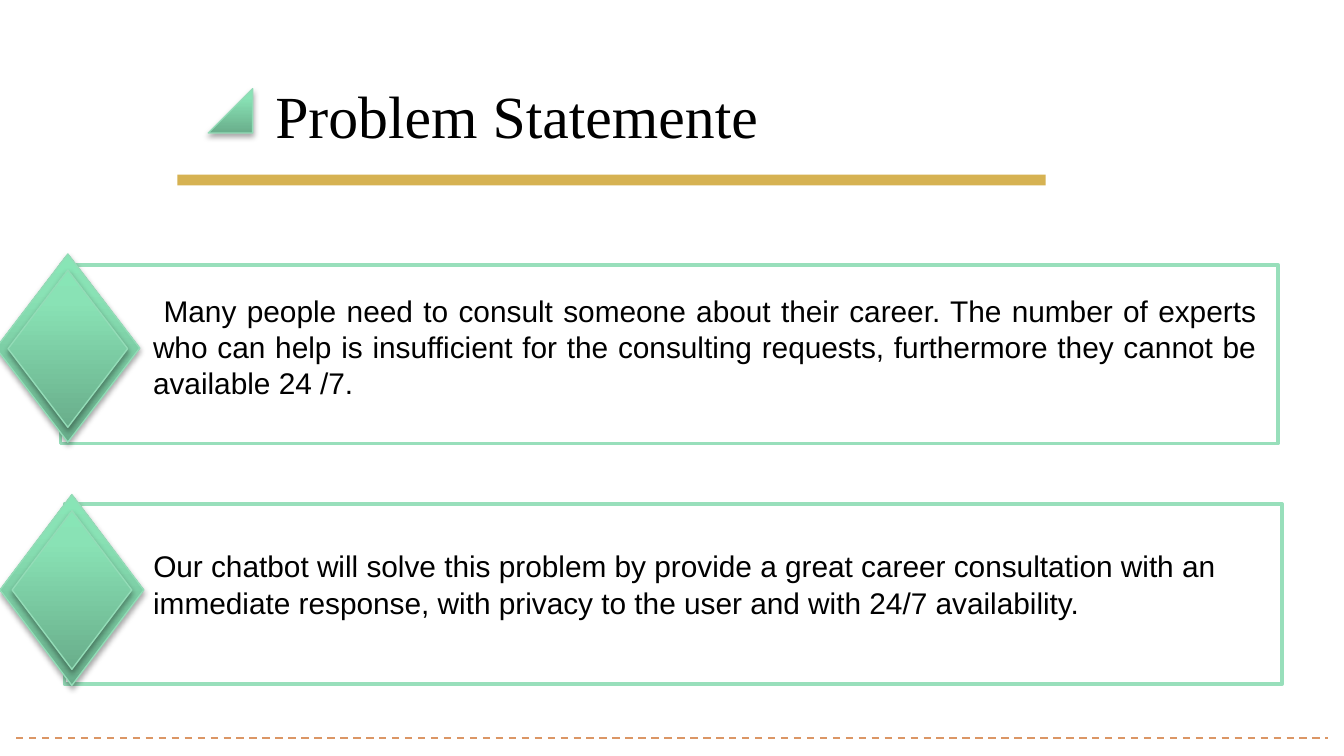
from lxml.etree import SubElement
from pptx import Presentation
from pptx.dml.color import RGBColor
from pptx.enum.dml import MSO_LINE
from pptx.enum.shapes import MSO_CONNECTOR, MSO_SHAPE
from pptx.enum.text import MSO_AUTO_SIZE, PP_ALIGN
from pptx.oxml.ns import qn
from pptx.util import Inches, Pt

HUES = {
    "white": "FFFFFF", "black": "000000", "frame": "98DFBB", "edge": "93DCB7",
    "dark": "69AE8B", "mid": "89E2B5", "light": "88E5B6",
    "gold": "D6B252", "rust": "DB9665",
}
SERIF, SANS = "Times New Roman", "Arial"


class Deck:
    """Holds the style and the current slide, with a method per element."""

    def __init__(self, wide, high):
        self.prs = Presentation()
        self.prs.slide_width, self.prs.slide_height = Inches(wide), Inches(high)
        self.slide = self.prs.slides.add_slide(self.prs.slide_layouts[6])

    def hue(self, name):
        return RGBColor.from_string(HUES[name])

    def group(self):
        return self.slide.shapes.add_group_shape().shapes

    def shape(self, home, kind, box, edge=None, width=0.75):
        item = home.add_shape(kind, *map(Inches, box))
        item.shadow.inherit = False
        if edge:
            item.line.color.rgb = self.hue(edge)
            item.line.width = Pt(width)
        else:
            item.line.fill.background()
        return item

    def rect(self, home, box, fill, edge=None, width=0.75):
        item = self.shape(home, MSO_SHAPE.RECTANGLE, box, edge, width)
        item.fill.solid()
        item.fill.fore_color.rgb = self.hue(fill)

    def gem(self, home, kind, box):
        item = self.shape(home, kind, box, "edge")
        item.fill.gradient()
        item.fill.gradient_angle = 90
        props = item._element.spPr
        stops = props.find(qn("a:gradFill")).find(qn("a:gsLst"))
        for old in list(stops):
            stops.remove(old)
        for pos, name in ((0, "dark"), (80, "mid"), (100, "light")):
            stop = SubElement(stops, qn("a:gs"), pos=str(pos * 1000))
            SubElement(stop, qn("a:srgbClr"), val=HUES[name])
        glow = SubElement(
            props.find(qn("a:effectLst")), qn("a:outerShdw"), blurRad=str(Pt(3.1)),
            dist=str(Pt(1.8)), dir="5400000", rotWithShape="0")
        tint = SubElement(glow, qn("a:srgbClr"), val=HUES["black"])
        SubElement(tint, qn("a:alpha"), val="35000")
        return item

    def text(self, home, box, paras, wrap=True, align=PP_ALIGN.LEFT):
        frame = home.add_textbox(*map(Inches, box)).text_frame
        frame.word_wrap = wrap
        frame.auto_size = MSO_AUTO_SIZE.SHAPE_TO_FIT_TEXT
        for num, runs in enumerate(paras):
            para = frame.add_paragraph() if num else frame.paragraphs[0]
            para.alignment = align
            for words, font, size in runs:
                run = para.add_run()
                run.text = words
                run.font.name, run.font.size = font, Pt(size)
                run.font.color.rgb = self.hue("black")

    def card(self, frame, outer, inner):
        home = self.group()
        self.rect(home, frame, "white", "frame", 2)
        for box in (outer, inner):
            self.gem(home, MSO_SHAPE.DIAMOND, box)

    def dash(self, left, right, top):
        line = self.slide.shapes.add_connector(
            MSO_CONNECTOR.STRAIGHT, *map(Inches, (left, top, right, top)))
        pen = line.line
        pen.width = Pt(1)
        pen.fill.solid()
        pen.fill.fore_color.rgb = self.hue("rust")
        pen.dash_style = MSO_LINE.DASH
        SubElement(line._element.spPr, qn("a:effectLst"))


def main():
    deck = Deck(10, 5.625)
    deck.card((0.45, 1.97, 9.06, 1.33), (-0.03, 1.89, 1.07, 1.4), (0.06, 2.01, 0.89, 1.17))
    deck.card((0.48, 3.75, 9.06, 1.34), (0, 3.68, 1.07, 1.42), (0.09, 3.8, 0.89, 1.18))

    need = ("Many people need to consult someone about their career. The number of "
            "experts who can help is insufficient for the consulting requests, "
            "furthermore they cannot be available 24 /7.")
    plan = ("Our chatbot will solve this problem by provide a great career "
            "consultation with an")
    gain = " immediate response, with privacy to the user and with 24/7 availability."
    lead = (" ", SERIF, 18)
    page = deck.slide.shapes
    deck.text(page, (1.04, 2.1, 8.41, 0.94), [[lead, (need, SANS, 16)]],
              align=PP_ALIGN.JUSTIFY)
    deck.text(page, (0.98, 4, 8.54, 0.98), [[lead, (plan, SANS, 16)], [(gain, SANS, 16)]])

    head = deck.group()
    deck.rect(head, (1.32, 1.3, 6.46, 0.08), "gold")
    mark = deck.gem(head, MSO_SHAPE.ISOSCELES_TRIANGLE, (1.55, 0.66, 0.33, 0.33))
    mark.adjustments[0] = 1
    deck.text(head, (1.95, 0.54, 3.83, 1.18), [[("Problem Statemente", SERIF, 32)]], wrap=False)
    deck.dash(0.12, 9.88, 5.49)
    deck.prs.save("out.pptx")


if __name__ == "__main__":
    main()
